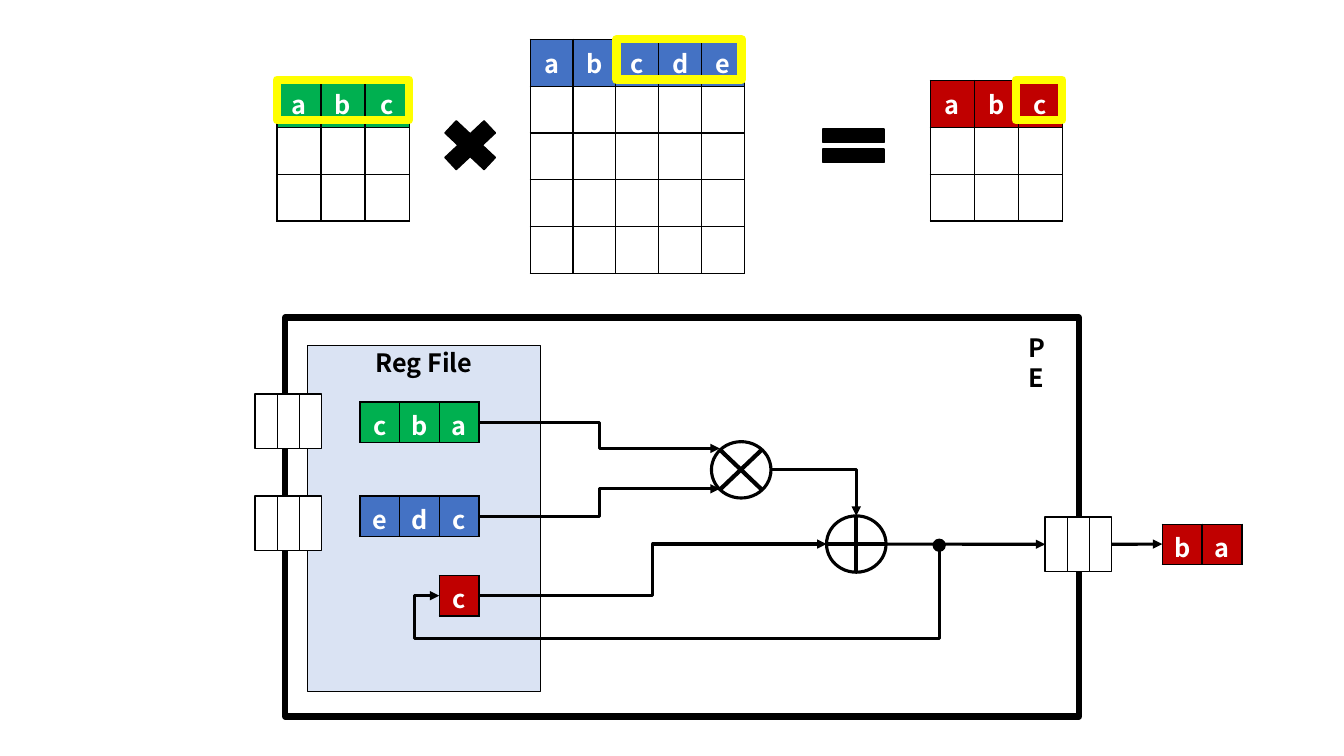
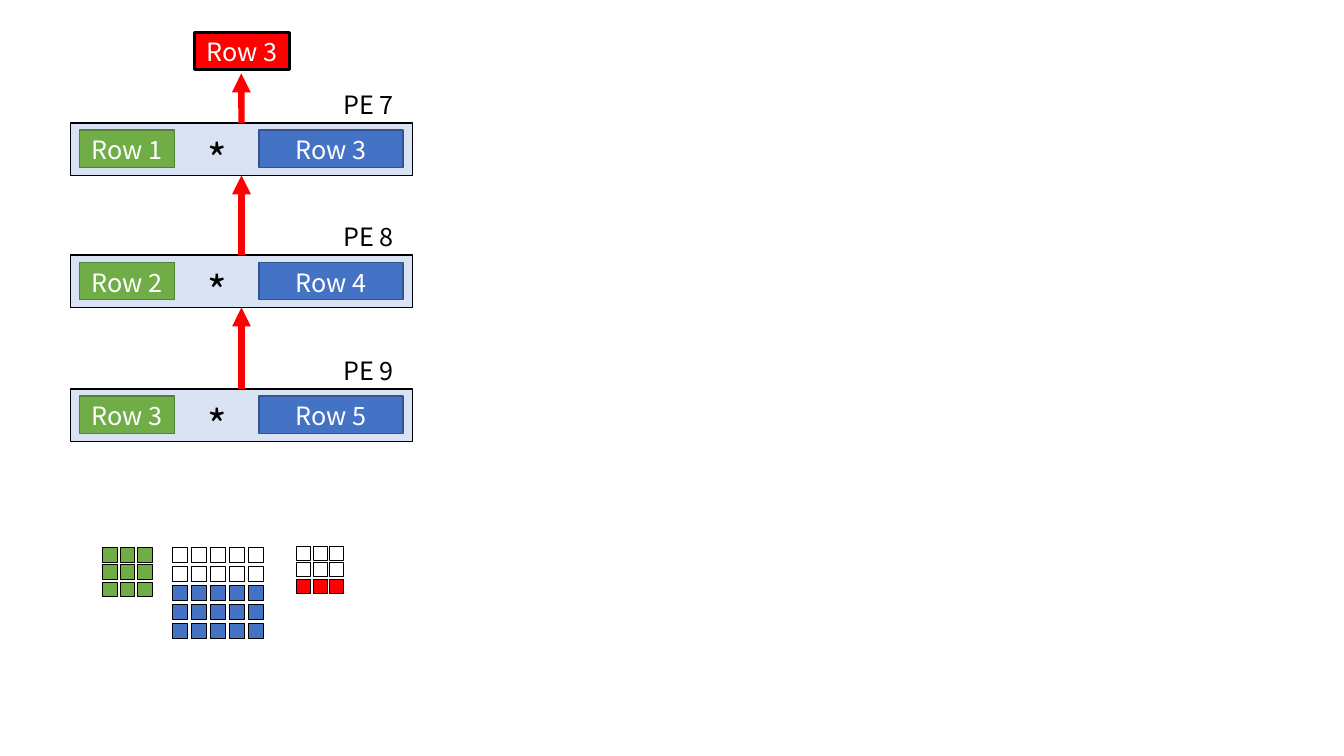
from dataclasses import dataclass
from typing import Any, NamedTuple

from lxml import etree
from pptx import Presentation
from pptx.dml.color import RGBColor
from pptx.enum.shapes import MSO_CONNECTOR, MSO_SHAPE
from pptx.enum.text import MSO_ANCHOR, PP_ALIGN
from pptx.oxml.ns import qn
from pptx.util import Cm, Pt

RECT, OVAL = MSO_SHAPE.RECTANGLE, MSO_SHAPE.OVAL
TIMES, EQUALS = MSO_SHAPE.MATH_MULTIPLY, MSO_SHAPE.MATH_EQUAL
STRAIGHT, ELBOW = MSO_CONNECTOR.STRAIGHT, MSO_CONNECTOR.ELBOW
TOP, MIDDLE = MSO_ANCHOR.TOP, MSO_ANCHOR.MIDDLE
CENTER, LEFT = PP_ALIGN.CENTER, PP_ALIGN.LEFT
SIDE_TOP, SIDE_LEFT, SIDE_BOTTOM, SIDE_RIGHT = range(4)


@dataclass(frozen=True)
class Theme:
    font: str = "Noto Sans CJK KR"
    black: str = "000000"
    white: str = "FFFFFF"
    input_green: str = "00B050"
    blue: str = "4472C4"
    blue_edge: str = "325491"
    output_red: str = "C00000"
    row_green: str = "70AD47"
    row_green_edge: str = "538035"
    red: str = "FF0000"
    yellow: str = "FFFF00"
    panel: str = "DAE3F3"
    body: float = 18
    star: float = 30
    hair: float = 0.5
    thin: float = 1
    wire: float = 2.25
    symbol: float = 3
    thick: float = 4.5
    marker: float = 6


T = Theme()


class Box(NamedTuple):
    x: float
    y: float
    w: float
    h: float


class Point(NamedTuple):
    x: float
    y: float


class Matrix(NamedTuple):
    x: float
    y: float
    col_w: float
    row_h: float
    rows: int
    letters: str
    color: str


class MiniGrid(NamedTuple):
    x: float
    y: float
    pitch: float
    size: float
    rows: int
    cols: int
    blank_rows: int
    color: str


class Stage(NamedTuple):
    y: float
    label: str
    weight_row: str
    input_row: str


def cm(values: tuple[float, ...]) -> list[int]:
    return [Cm(v) for v in values]


def set_all(target: Any, values: dict[str, Any]) -> None:
    for name, value in values.items():
        setattr(target, name, value)


def write(tf: Any, text: str, color: str, size: float = T.body,
          bold: bool = False, align: Any = CENTER) -> Any:
    p = tf.paragraphs[0]
    p.alignment = align
    r = p.add_run()
    r.text = text
    set_all(r.font, {"name": T.font, "size": Pt(size), "bold": bold})
    r.font.color.rgb = RGBColor.from_string(color)
    return p


def set_line(line: Any, color: str, width: float) -> None:
    line.color.rgb = RGBColor.from_string(color)
    line.width = Pt(width)


def style(sp: Any, fill: str | None, line: str, width: float) -> None:
    sp.shadow.inherit = False
    if fill:
        sp.fill.solid()
        sp.fill.fore_color.rgb = RGBColor.from_string(fill)
    else:
        sp.fill.background()
    set_line(sp.line, line, width)


def add_arrowhead(sp: Any) -> None:
    etree.SubElement(sp.line._get_or_add_ln(), qn("a:tailEnd"), type="triangle")


def add_box(s: Any, box: Box, fill: str | None = None, line: str = T.black,
            width: float = T.thin, kind: Any = RECT, text: str = "",
            color: str = T.white, bold: bool = False, anchor: Any = MIDDLE) -> Any:
    sp = s.shapes.add_shape(kind, *cm(box))
    style(sp, fill, line, width)
    if text:
        set_all(sp.text_frame, {"margin_top": Cm(0.05), "margin_bottom": 0,
                                "margin_left": 0, "margin_right": 0,
                                "vertical_anchor": anchor, "word_wrap": True})
        write(sp.text_frame, text, color, bold=bold)
    return sp


def add_label(s: Any, box: Box, text: str, size: float = T.body,
              bold: bool = False, wrap: bool = False) -> None:
    tf = s.shapes.add_textbox(*cm(box)).text_frame
    set_all(tf, {"word_wrap": wrap, "margin_top": Cm(0.18), "vertical_anchor": TOP})
    write(tf, text, T.black, size, bold, LEFT).line_spacing = Pt(1.2 * size)


def add_line(s: Any, start: Point, end: Point, color: str = T.black,
             width: float = T.wire, kind: Any = STRAIGHT, arrow: bool = True) -> Any:
    line = s.shapes.add_connector(kind, *cm(start + end))
    set_line(line.line, color, width)
    if arrow:
        add_arrowhead(line)
    etree.SubElement(line._element.spPr, qn("a:effectLst"))
    return line


def add_path(s: Any, *points: Point) -> None:
    """Draw an arrow that turns at every given point."""
    start, *rest = [tuple(cm(p)) for p in points]
    builder = s.shapes.build_freeform(*start)
    builder.add_line_segments(rest, close=False)
    sp = builder.convert_to_shape()
    style(sp, None, T.black, T.wire)
    add_arrowhead(sp)


def set_borders(cell: Any) -> None:
    tc_pr = cell._tc.get_or_add_tcPr()
    for side in "LRTB":
        ln = etree.SubElement(tc_pr, qn(f"a:ln{side}"), w=str(Pt(T.thin)))
        fill = etree.SubElement(ln, qn("a:solidFill"))
        etree.SubElement(fill, qn("a:srgbClr"), val=T.black)


def add_matrix(s: Any, m: Matrix) -> None:
    """Draw a table whose first row holds one coloured letter a cell."""
    cols = len(m.letters)
    size = cm((m.x, m.y, cols * m.col_w, m.rows * m.row_h))
    table = s.shapes.add_table(m.rows, cols, *size).table
    set_all(table, {"first_row": False, "horz_banding": False})
    for col in table.columns:
        col.width = Cm(m.col_w)
    for i, row in enumerate(table.rows):
        row.height = Cm(m.row_h)
        for letter, cell in zip(m.letters, row.cells):
            set_borders(cell)
            cell.fill.solid()
            cell.fill.fore_color.rgb = RGBColor.from_string(T.white if i else m.color)
            if m.rows == 1:
                set_all(cell, {"margin_top": Cm(0.1), "margin_bottom": 0})
            if i == 0:
                write(cell.text_frame, letter, T.white, bold=True)


def add_fifo(s: Any, x: float, y: float) -> list[Any]:
    w = 0.56
    return [add_box(s, Box(x + i * w, y, w, 1.37), T.white) for i in range(3)]


def add_mini_grid(s: Any, g: MiniGrid) -> None:
    for row in range(g.rows):
        for col in range(g.cols):
            box = Box(g.x + col * g.pitch, g.y + row * g.pitch, g.size, g.size)
            add_box(s, box, None if row < g.blank_rows else g.color, width=T.hair)


def build_processing_element(s: Any) -> None:
    for m in (Matrix(6.98, 2.03, 1.11, 1.18, 3, "abc", T.input_green),
              Matrix(13.36, 0.99, 1.08, 1.18, 5, "abcde", T.blue),
              Matrix(23.44, 2.03, 1.11, 1.18, 3, "abc", T.output_red)):
        add_matrix(s, m)
    add_box(s, Box(20.47, 2.95, 2.08, 1.45), T.black, kind=EQUALS)
    add_box(s, Box(10.9, 2.77, 1.9, 1.78), T.black, kind=TIMES)

    add_box(s, Box(7.19, 8, 20, 10.06), width=T.thick)
    add_label(s, Box(25.68, 8.2, 1.24, 1.02), "PE", bold=True, wrap=True)
    add_box(s, Box(7.75, 8.71, 5.87, 8.71), T.panel, text="Reg File",
            color=T.black, bold=True, anchor=TOP)
    for y in (9.93, 12.5):
        add_fifo(s, 6.43, y)
    for x, y, letters, color in ((9.07, 10.13, "cba", T.input_green),
                                 (9.07, 12.5, "edc", T.blue),
                                 (11.07, 14.5, "c", T.output_red),
                                 (29.29, 13.21, "b", T.output_red),
                                 (30.3, 13.21, "a", T.output_red)):
        add_matrix(s, Matrix(x, y, 1, 1.02, 1, letters, color))

    multiplier, adder = Box(17.93, 11.13, 1.5, 1.42), Box(20.83, 13, 1.5, 1.42)
    for box in (multiplier, adder):
        add_box(s, box, width=T.wire, kind=OVAL)
    mul_y = multiplier.y + multiplier.h / 2
    add_x, add_y = adder.x + adder.w / 2, adder.y + adder.h / 2
    add_right = adder.x + adder.w
    for start, end in ((Point(19.2, 11.33), Point(18.14, 12.34)),
                       (Point(18.14, 11.33), Point(19.2, 12.34)),
                       (Point(add_x, adder.y), Point(add_x, adder.y + adder.h)),
                       (Point(adder.x, add_y), Point(add_right, add_y))):
        add_line(s, start, end, width=T.symbol, arrow=False)

    reg_right = 12.07
    for reg_y, end in ((10.64, Point(18.14, 11.3)), (13.01, Point(18.14, 12.32)),
                       (15.01, Point(adder.x, add_y))):
        add_line(s, Point(reg_right, reg_y), end, kind=ELBOW)
    add_path(s, Point(multiplier.x + multiplier.w, mul_y),
             Point(add_x, mul_y), Point(add_x, adder.y))
    add_path(s, Point(23.67, 13.89), Point(23.67, 16.08), Point(10.44, 16.08),
             Point(10.44, 15.01), Point(11.07, 15.01))

    out_fifo = add_fifo(s, 26.34, 13.03)
    to_fifo = add_line(s, Point(add_right, add_y), Point(26.34, add_y))
    to_fifo.end_connect(out_fifo[0], SIDE_LEFT)
    from_fifo = add_line(s, Point(28.02, add_y), Point(29.29, add_y))
    from_fifo.begin_connect(out_fifo[-1], SIDE_RIGHT)
    add_box(s, Box(23.52, 13.59, 0.3, 0.3), T.black, kind=OVAL)

    for x, y, w in ((6.98, 2.01, 3.33), (15.54, 0.99, 3.15), (25.6, 2.01, 1.17)):
        add_box(s, Box(x, y, w, 1.02), line=T.yellow, width=T.marker)


def build_row_flow(s: Any) -> None:
    bars = []
    for st in (Stage(3.1, "PE 7", "Row 1", "Row 3"),
               Stage(6.43, "PE 8", "Row 2", "Row 4"),
               Stage(9.8, "PE 9", "Row 3", "Row 5")):
        bars.append(add_box(s, Box(1.78, st.y, 8.61, 1.32), T.panel))
        add_box(s, Box(6.53, st.y + 0.18, 3.63, 0.94), T.blue, T.blue_edge,
                text=st.input_row)
        add_box(s, Box(2.01, st.y + 0.18, 2.39, 0.94), T.row_green,
                T.row_green_edge, text=st.weight_row)
        add_label(s, Box(8.41, st.y - 1.02, 1.78, 1.02), st.label)
        add_label(s, Box(4.98, st.y + 0.08, 0.97, 1.55), "*", T.star)

    for g in (MiniGrid(2.59, 13.79, 0.44, 0.37, 3, 3, 0, T.row_green),
              MiniGrid(4.34, 13.79, 0.48, 0.39, 5, 5, 2, T.blue),
              MiniGrid(7.47, 13.76, 0.42, 0.35, 3, 3, 2, T.red)):
        add_mini_grid(s, g)

    arrow_x = 6.08
    for target, source in zip([None] + bars, bars):
        arrow = add_line(s, Point(arrow_x, 3.1), Point(arrow_x, 1.85), T.red, T.thick)
        arrow.begin_connect(source, SIDE_TOP)
        if target is not None:
            arrow.end_connect(target, SIDE_BOTTOM)
    add_box(s, Box(4.9, 0.81, 2.39, 0.94), T.red, width=T.wire, text="Row 3")


def main() -> None:
    prs = Presentation()
    set_all(prs, {"slide_width": Cm(33.87), "slide_height": Cm(19.05)})
    blank = prs.slide_layouts[6]
    for build in (build_processing_element, build_row_flow):
        build(prs.slides.add_slide(blank))
    prs.save("out.pptx")


if __name__ == "__main__":
    main()
